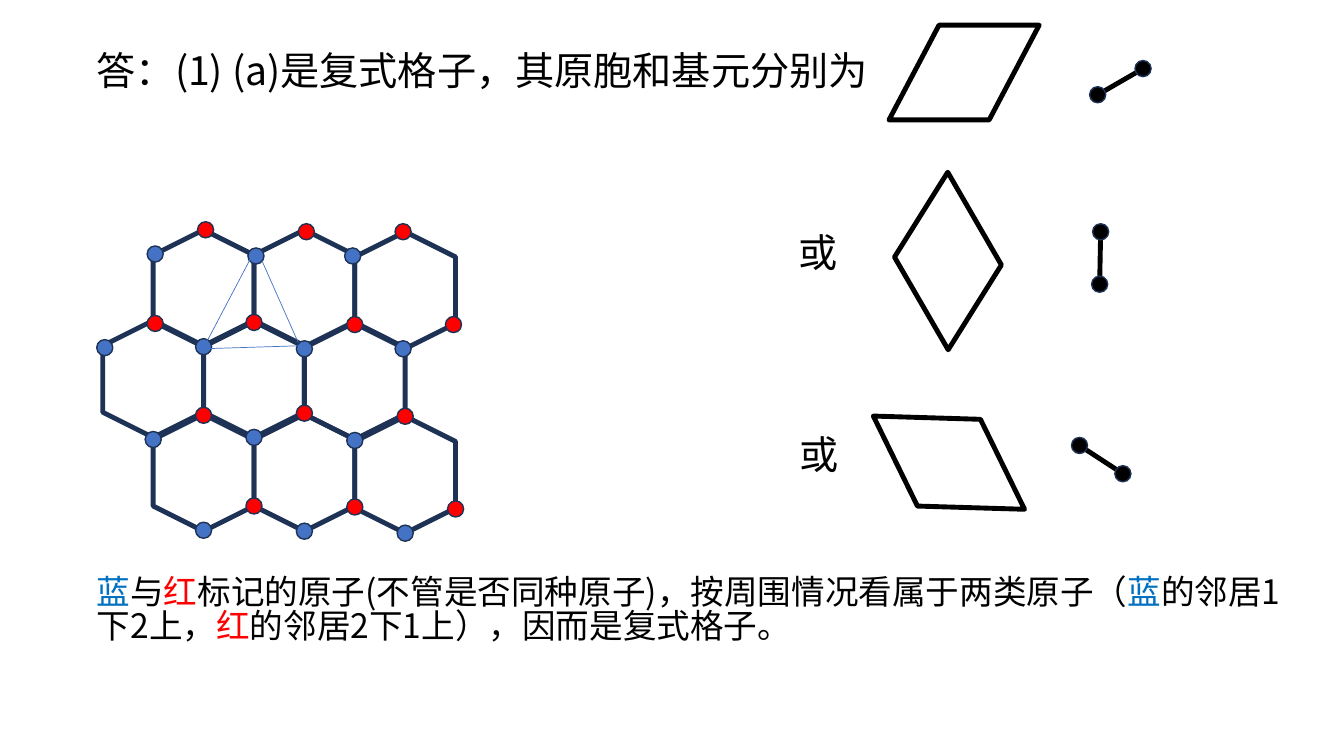
from lxml.etree import SubElement
from pptx import Presentation
from pptx.dml.color import RGBColor
from pptx.enum.shapes import MSO_CONNECTOR as Connector, MSO_SHAPE as Shape
from pptx.enum.text import MSO_ANCHOR as Anchor, MSO_AUTO_SIZE as AutoSize, PP_ALIGN as Align
from pptx.oxml.ns import qn
from pptx.util import Pt

FONT = "Noto Sans CJK SC"
COLORS = {"black": "000000", "navy": "1E3256", "blue": "4472C4", "red": "FF0000", "text blue": "0070C0"}
BALL = 11.5
HEXAGON = (83.5, 72)
RHOMBUS = (107.3, 67.7)
RED_OFFSET = (36, -17.3)

HEXAGON_ROWS = [(67.7, 234.7), (103.7, 169.9), (103.7, 301.7)]
ROW_STEPS = [(0, 0), (72, 0), (144, 1.4)]
BLUE_ATOMS = [
    (139.7, 241.9), (103.7, 308.2), (69.1, 242.6), (105.1, 175.7), (177.1, 177.1),
    (246.2, 177.1), (211.7, 243.4), (282.2, 243.4), (247.7, 308.9), (175.7, 306.7),
    (139.7, 373), (211.7, 373.7), (283.7, 375.1),
]
TRIANGLE = [
    ((146.2, 247), (180.7, 181.4)),
    ((146.2, 249.1), (213.8, 247)),
    ((187.2, 186.5), (213.1, 244.8)),
]
CELLS = [
    ((635, 18), 0, (784.1, 67.7), (816.5, 49)),
    ((623.5, 152.6), 302.1, (785.5, 203), (786.2, 165.6)),
    ((624.2, 296.6), 243.9, (802.1, 338.4), (771.1, 318.2)),
]
OR_LABELS = [(563, 162.7), (563.8, 306.7)]
HEADING = [("答：(1) (a)是复式格子，其原胞和基元分别为", "black")]
EXPLANATION = [
    ("蓝", "text blue"), ("与", "black"), ("红", "red"),
    ("标记的原子(不管是否同种原子)，按周围情况看属于两类原子（", "black"),
    ("蓝", "text blue"), ("的邻居1下2上，", "black"),
    ("红", "red"), ("的邻居2下1上），因而是复式格子。", "black"),
]


def color(name):
    """Return the palette colour of that name."""
    return RGBColor.from_string(COLORS[name])


def apply(target, values):
    """Set each attribute in values on the target."""
    for name, value in values.items():
        setattr(target, name, value)


class LatticePage:
    """Draws the elements of the lattice slide."""

    frame_format = {
        "word_wrap": True, "auto_size": AutoSize.NONE, "vertical_anchor": Anchor.TOP,
        "margin_left": Pt(7.2), "margin_right": Pt(7.2), "margin_top": Pt(6), "margin_bottom": Pt(1),
    }

    def __init__(self, deck):
        """Add a title and content slide to the deck."""
        self.page = deck.slides.add_slide(deck.slide_layouts[1])

    def group(self):
        """Add a group and return its shapes."""
        return self.page.shapes.add_group_shape().shapes

    def shape(self, shapes, kind, place, size, line, weight, fill=None, rotation=0):
        """Add an outlined preset shape."""
        box = shapes.add_shape(kind, *map(Pt, (*place, *size)))
        box.shadow.inherit = False
        box.rotation = rotation
        box.line.width = Pt(weight)
        box.line.color.rgb = color(line)
        if fill:
            box.fill.solid()
            box.fill.fore_color.rgb = color(fill)
        else:
            box.fill.background()
        return box

    def ball(self, shapes, place, fill):
        """Add an atom by its top left corner."""
        self.shape(shapes, Shape.OVAL, place, (BALL, BALL), "navy", 1, fill)

    def line(self, shapes, start, end, tint, weight):
        """Add a straight line without a shadow."""
        line = shapes.add_connector(Connector.STRAIGHT, *map(Pt, (*start, *end)))
        line.line.width = Pt(weight)
        line.line.color.rgb = color(tint)
        SubElement(line._element.spPr, qn("a:effectLst"))

    def dumbbell(self, start, end):
        """Add two joined black atoms by their centres."""
        shapes = self.group()
        self.line(shapes, start, end, "black", 3.5)
        for x, y in (start, end):
            self.ball(shapes, (x - BALL / 2, y - BALL / 2), "black")

    def rhombus(self, place, rotation):
        """Add a primitive cell outline."""
        cell = self.shape(self.page.shapes, Shape.PARALLELOGRAM, place, RHOMBUS, "black", 3.5, rotation=rotation)
        cell.adjustments[0] = 0.528

    def set_text(self, box, place, size, spans, points):
        """Place a text shape and fill it with coloured spans."""
        left, top, width, height = map(Pt, (*place, *size))
        apply(box, {"left": left, "top": top, "width": width, "height": height})
        apply(box.text_frame, self.frame_format)
        para = box.text_frame.paragraphs[0]
        apply(para, {"alignment": Align.LEFT, "line_spacing": 0.83, "space_before": Pt(0), "space_after": Pt(0)})
        props = para._p.get_or_add_pPr()
        props.set("marL", "0")
        props.set("indent", "0")
        SubElement(props, qn("a:buNone"))
        for words, tint in spans:
            span = para.add_run()
            span.text = words
            apply(span.font, {"name": FONT, "size": Pt(points)})
            span.font.color.rgb = color(tint)
            SubElement(span._r.get_or_add_rPr(), qn("a:ea"), typeface=FONT)

    def label(self, place, words):
        """Add a short text box."""
        box = self.page.shapes.add_textbox(0, 0, 0, 0)
        self.set_text(box, place, (72, 41), [(words, "black")], 28)


def main():
    """Build and save the slide."""
    deck = Presentation()
    apply(deck, {"slide_width": Pt(960), "slide_height": Pt(540)})
    lattice = LatticePage(deck)
    shapes = lattice.page.shapes
    title, body = lattice.page.placeholders
    lattice.set_text(title, (61.9, 32.4), (639.4, 41), HEADING, 28)
    lattice.set_text(body, (61.9, 406.8), (861.8, 65.5), EXPLANATION, 24)

    honeycomb = lattice.group()
    for left, top in HEXAGON_ROWS:
        for across, down in ROW_STEPS:
            lattice.shape(honeycomb, Shape.HEXAGON, (left + across, top + down), HEXAGON, "navy", 3.5, rotation=270)
    for x, y in BLUE_ATOMS:
        lattice.ball(shapes, (x, y), "blue")
        lattice.ball(shapes, (x + RED_OFFSET[0], y + RED_OFFSET[1]), "red")
    for start, end in TRIANGLE:
        lattice.line(shapes, start, end, "blue", 0.5)

    for place, rotation, start, end in CELLS:
        lattice.rhombus(place, rotation)
        lattice.dumbbell(start, end)
    for place in OR_LABELS:
        lattice.label(place, "或")
    deck.save("out.pptx")


if __name__ == "__main__":
    main()
